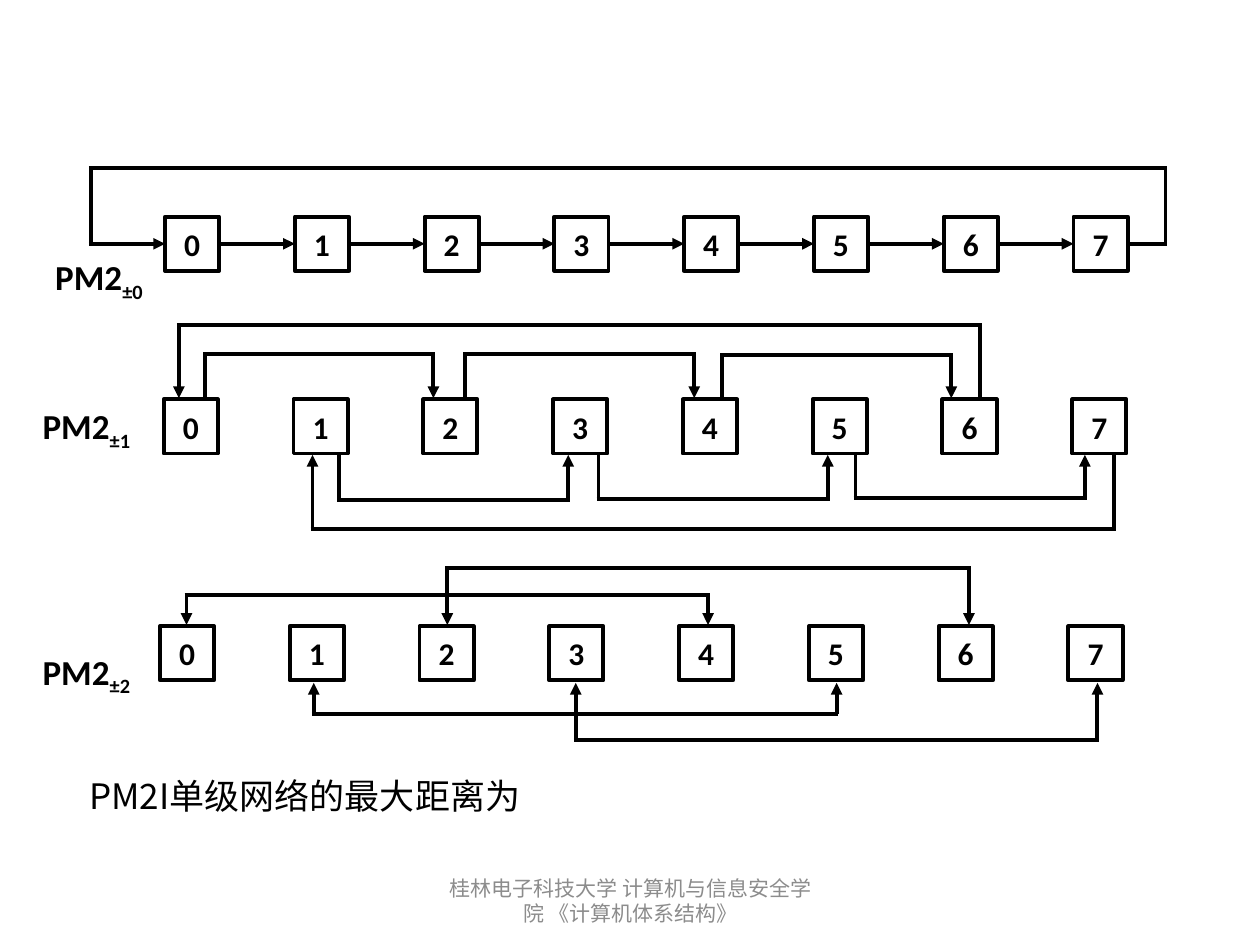
from lxml import etree
from pptx import Presentation
from pptx.dml.color import RGBColor
from pptx.enum.shapes import MSO_CONNECTOR, MSO_SHAPE
from pptx.enum.text import MSO_ANCHOR, PP_ALIGN
from pptx.oxml.ns import qn
from pptx.util import Inches, Pt

STRAIGHT = MSO_CONNECTOR.STRAIGHT
RECTANGLE = MSO_SHAPE.RECTANGLE
MIDDLE, TOP = MSO_ANCHOR.MIDDLE, MSO_ANCHOR.TOP
CENTER, LEFT = PP_ALIGN.CENTER, PP_ALIGN.LEFT

BLACK, WHITE, GREY = "000000", "FFFFFF", "8C8C8C"
LATIN, CHINESE = "Calibri", "Noto Sans CJK SC"
NODES = 8
NODE_SIZE = 0.43
PITCH = 1.03
STROKE = 2.25
CORNER = 0.015


def rgb(color):
    return RGBColor.from_string(color)


def format_text(paragraph, size, color, font=LATIN, bold=False, align=LEFT):
    paragraph.alignment = align
    paragraph.font.size = Pt(size)
    paragraph.font.name = font
    paragraph.font.bold = bold
    paragraph.font.color.rgb = rgb(color)


def add_text(slide, box, text, anchor=TOP, wrap=True, **style):
    frame = slide.shapes.add_textbox(*map(Inches, box)).text_frame
    frame.word_wrap = wrap
    frame.vertical_anchor = anchor
    paragraph = frame.paragraphs[0]
    paragraph.add_run().text = text
    format_text(paragraph, **style)
    return paragraph


def add_line(slide, start, end, arrow=False):
    line = slide.shapes.add_connector(STRAIGHT, *map(Inches, (*start, *end)))
    line.line.color.rgb = rgb(BLACK)
    line.line.width = Pt(STROKE)
    if arrow:
        etree.SubElement(line.line._get_or_add_ln(), qn("a:tailEnd"), type="triangle")
    etree.SubElement(line._element.spPr, qn("a:effectLst"))


def add_label(slide, left, top, power):
    label = add_text(slide, (left, top, 1.03, 0.44), "PM2", wrap=False,
                     size=20, color=BLACK, bold=True)
    subscript = label.add_run()
    subscript.text = f"±{power}"
    subscript.font._element.set("baseline", "-25000")


def add_nodes(slide, left, top):
    for number in range(NODES):
        node = slide.shapes.add_shape(
            RECTANGLE, Inches(left + number * PITCH), Inches(top),
            Inches(NODE_SIZE), Inches(NODE_SIZE))
        node.shadow.inherit = False
        node.fill.solid()
        node.fill.fore_color.rgb = rgb(WHITE)
        node.line.color.rgb = rgb(BLACK)
        node.line.width = Pt(STROKE)
        node.text_frame.vertical_anchor = MIDDLE
        node.text_frame.text = str(number)
        format_text(node.text_frame.paragraphs[0], 18, BLACK, bold=True, align=CENTER)


def add_link(slide, start_x, end_x, node_y, rail_y, two_way):
    low, high = sorted((start_x, end_x))
    add_line(slide, (low - CORNER, rail_y), (high + CORNER, rail_y))
    if two_way:
        add_line(slide, (start_x, rail_y), (start_x, node_y), arrow=True)
    else:
        add_line(slide, (start_x, node_y), (start_x, rail_y))
    add_line(slide, (end_x, rail_y), (end_x, node_y), arrow=True)


def add_ring(slide, left, top):
    add_nodes(slide, left, top)
    axis = top + NODE_SIZE / 2
    rail = top - 0.39
    outer_left, outer_right = left - 0.59, left + 7.94
    for number in range(NODES - 1):
        source = left + number * PITCH + NODE_SIZE
        add_line(slide, (source, axis), (source + PITCH - NODE_SIZE, axis), arrow=True)
    add_line(slide, (outer_left - CORNER, axis), (left, axis), arrow=True)
    add_line(slide, (left + 7 * PITCH + NODE_SIZE, axis), (outer_right + CORNER, axis))
    add_line(slide, (outer_left - CORNER, rail), (outer_right + CORNER, rail))
    for side in (outer_left, outer_right):
        add_line(slide, (side, rail), (side, axis))


def add_linked_row(slide, left, top, upper_links, lower_links, lower_gap, two_way=False):
    add_nodes(slide, left, top)
    sides = ((upper_links, top - 0.01, -1),
             (lower_links, top + NODE_SIZE + lower_gap, 1))
    for links, node_y, direction in sides:
        for source, target, leave, arrive, depth in links:
            add_link(slide, left + source * PITCH + leave, left + target * PITCH + arrive,
                     node_y, node_y + direction * depth, two_way)


def main():
    deck = Presentation()
    deck.slide_width, deck.slide_height = Inches(10), Inches(7.5)
    slide = deck.slides.add_slide(deck.slide_layouts[6])

    add_text(slide, (0.61, 6.1, 3.62, 0.43), "PM2I单级网络的最大距离为",
             anchor=MIDDLE, size=20, color=BLACK, font=CHINESE)
    add_text(slide, (3.42, 6.95, 3.17, 0.4),
             "桂林电子科技大学 计算机与信息安全学院 《计算机体系结构》",
             anchor=MIDDLE, size=12, color=GREY, align=CENTER)

    add_ring(slide, 1.31, 1.72)
    add_linked_row(
        slide, 1.3, 3.17,
        [(0, 2, 0.33, 0.08, 0.35), (2, 4, 0.33, 0.09, 0.35),
         (4, 6, 0.31, 0.07, 0.34), (6, 0, 0.3, 0.12, 0.58)],
        [(1, 3, 0.36, 0.12, 0.36), (3, 5, 0.36, 0.12, 0.35),
         (5, 7, 0.34, 0.1, 0.34), (7, 1, 0.33, 0.15, 0.59)],
        lower_gap=0.01)
    add_linked_row(
        slide, 1.27, 4.97,
        [(0, 4, 0.21, 0.23, 0.24), (2, 6, 0.22, 0.24, 0.45)],
        [(1, 5, 0.19, 0.22, 0.25), (3, 7, 0.21, 0.23, 0.45)],
        lower_gap=0.02, two_way=True)

    for power, (left, top) in enumerate([(0.34, 1.98), (0.24, 3.16), (0.24, 5.11)]):
        add_label(slide, left, top, power)

    deck.save("out.pptx")


if __name__ == "__main__":
    main()
